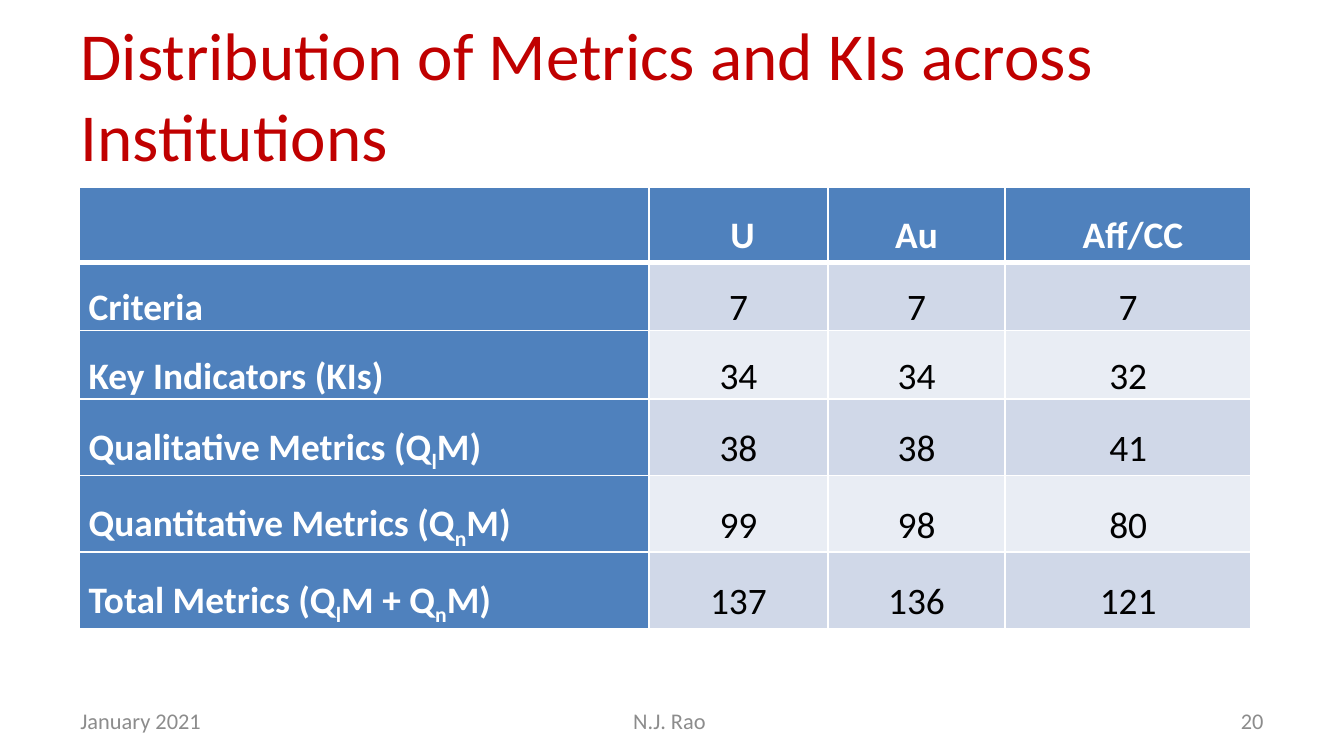
import pptx
import pptx.dml.color
import pptx.enum.text
import pptx.oxml
import pptx.oxml.ns
import pptx.util

Inches, Pt = pptx.util.Inches, pptx.util.Pt
ALIGN = pptx.enum.text.PP_ALIGN
MIDDLE = pptx.enum.text.MSO_ANCHOR.MIDDLE

# Widescreen, 16:9
WIDTH = 10
HEIGHT = WIDTH * 9 / 16
FONT = "Calibri"
COLORS = {
    "title": "C00000",
    "header": "4F81BD",
    "odd": "D0D8E8",
    "even": "E9EDF4",
    "light": "FFFFFF",
    "dark": "000000",
    "footer": "8C8C8C",
}

# Text between underscores is set as a subscript
ROWS = [
    ["", "U", "Au", "Aff/CC"],
    ["Criteria", "7", "7", "7"],
    ["Key Indicators (KIs)", "34", "34", "32"],
    ["Qualitative Metrics (Q_l_M)", "38", "38", "41"],
    ["Quantitative Metrics (Q_n_M)", "99", "98", "80"],
    ["Total Metrics (Q_l_M + Q_n_M)", "137", "136", "121"],
]
COL_WIDTHS = [4.24, 1.33, 1.32, 1.83]
HEADER_HEIGHT, ROW_HEIGHT = 0.56, 0.51
HEADER_INDENTS = {1: 0.06, 3: 0.07}


def rgb(name):
    return pptx.dml.color.RGBColor.from_string(COLORS[name])


def write(p, text, size, color, align=ALIGN.LEFT, bold=False):
    p.alignment = align
    p.font.name, p.font.size, p.font.bold = FONT, Pt(size), bold
    p.font.color.rgb = rgb(color)
    for i, part in enumerate(text.split("_")):
        r = p.add_run()
        r.text = part
        if i % 2:
            r._r.get_or_add_rPr().set("baseline", "-25000")


def add_text(slide, box, text, size, color, align=ALIGN.LEFT):
    sp = slide.shapes.add_textbox(*map(Inches, box))
    tf = sp.text_frame
    tf.word_wrap = True
    tf.vertical_anchor = MIDDLE
    write(tf.paragraphs[0], text, size, color, align)


def set_borders(cell, bottom):
    tcPr = cell._tc.get_or_add_tcPr()
    widths = {"lnL": 1, "lnR": 1, "lnT": 1, "lnB": bottom}
    for i, (side, width) in enumerate(widths.items()):
        tcPr.insert(i, pptx.oxml.parse_xml(
            f'<a:{side} {pptx.oxml.ns.nsdecls("a")} w="{Pt(width)}"><a:solidFill>'
            f'<a:srgbClr val="{COLORS["light"]}"/></a:solidFill></a:{side}>'))


def fill_cell(cell, text, row, col):
    heading = row == 0 or col == 0
    cell.fill.solid()
    cell.fill.fore_color.rgb = rgb("header" if heading else "odd" if row % 2 else "even")
    set_borders(cell, 3 if row == 0 else 1)
    if not text:
        return
    cell.vertical_anchor = MIDDLE
    cell.margin_left = cell.margin_right = Inches(0.07)
    cell.margin_top = cell.margin_bottom = 0
    p = cell.text_frame.paragraphs[0]
    p.line_spacing, p.space_before = 1.5, Pt(6)
    if row == 0 and col in HEADER_INDENTS:
        p._p.get_or_add_pPr().set("marL", str(Inches(HEADER_INDENTS[col])))
    write(p, text, 20, "light" if heading else "dark",
          ALIGN.CENTER if col else ALIGN.LEFT, heading)


def add_metrics_table(slide, left, top):
    heights = [HEADER_HEIGHT] + [ROW_HEIGHT] * (len(ROWS) - 1)
    box = left, top, sum(COL_WIDTHS), sum(heights)
    table = slide.shapes.add_table(len(ROWS), len(COL_WIDTHS), *map(Inches, box)).table
    for column, width in zip(table.columns, COL_WIDTHS):
        column.width = Inches(width)
    for r, (values, height) in enumerate(zip(ROWS, heights)):
        table.rows[r].height = Inches(height)
        for c, text in enumerate(values):
            fill_cell(table.cell(r, c), text, r, c)


def add_footer(slide):
    margin, side, middle = 0.05 * WIDTH, 2.33, 3.17
    for text, left, width, align in [
        ("January 2021", margin, side, ALIGN.LEFT),
        ("N.J. Rao ", (WIDTH - middle) / 2, middle, ALIGN.CENTER),
        ("20", WIDTH - margin - side, side, ALIGN.RIGHT),
    ]:
        add_text(slide, (left, 5.21, width, 0.3), text, 12, "footer", align)


def main():
    prs = pptx.Presentation()
    prs.slide_width, prs.slide_height = Inches(WIDTH), Inches(HEIGHT)
    slide = prs.slides.add_slide(prs.slide_layouts[6])

    # Title
    add_text(slide, (0.05 * WIDTH, 0.23, 0.9 * WIDTH, 0.94),
             "Distribution of Metrics and KIs across Institutions", 36, "title")
    # Metrics by institution type
    add_metrics_table(slide, 0.59, 1.39)
    # Date, author and page number
    add_footer(slide)

    prs.save("out.pptx")


if __name__ == "__main__":
    main()
